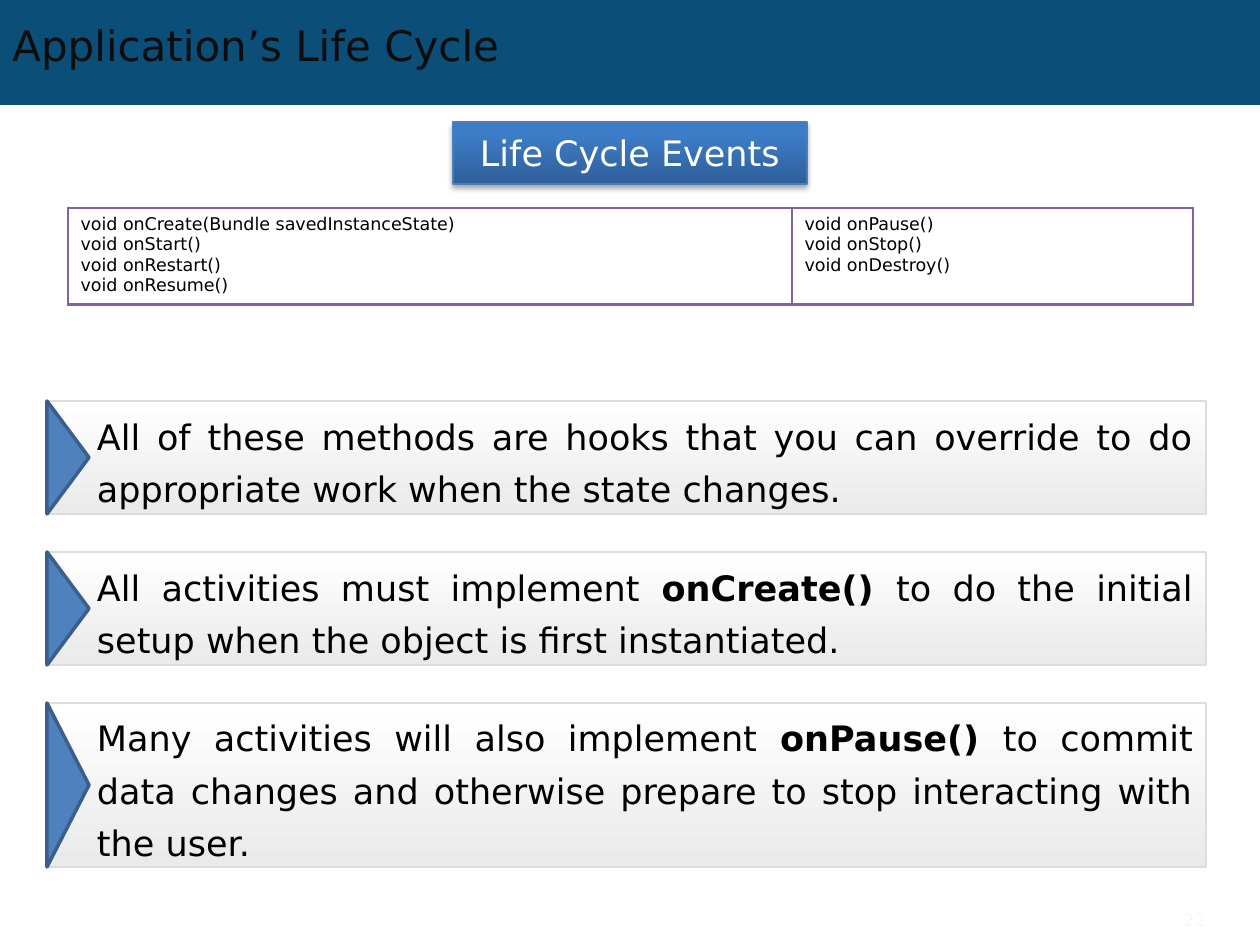
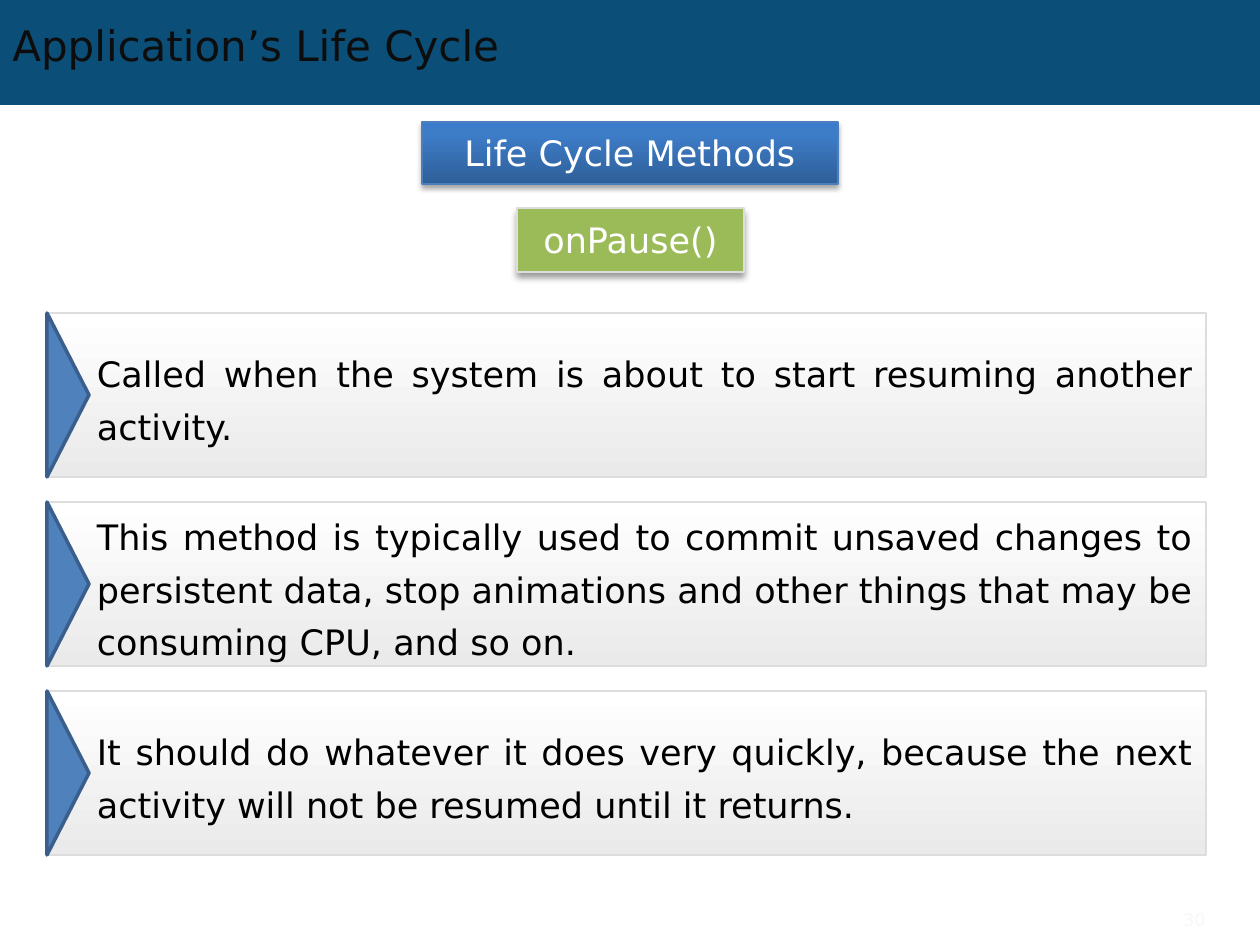
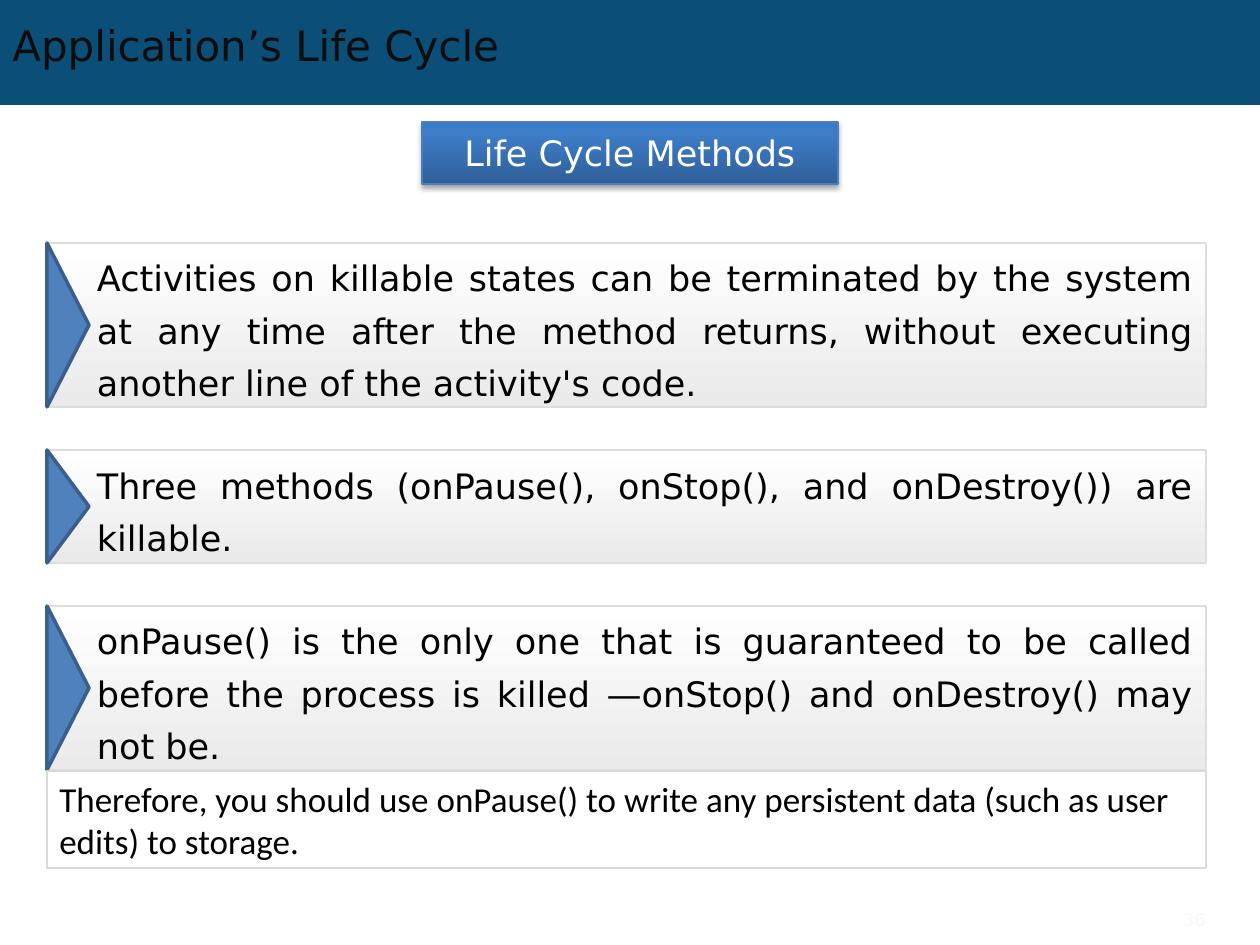
"""Build three slides on the life cycle of an application."""
from copy import deepcopy

from pptx import Presentation
from pptx.dml.color import RGBColor as RGB
from pptx.enum.shapes import MSO_SHAPE as Kind
from pptx.enum.text import MSO_ANCHOR as Anchor, PP_ALIGN as Align
from pptx.oxml import parse_xml
from pptx.oxml.ns import nsdecls, qn
from pptx.util import Emu, Pt


class Theme:
    font, note_font = "DejaVu Sans", "Calibri"
    head, body, small = 24, 20, 10
    band, ink, text, white = "0B4E78", "0D0D0D", "000000", "FFFFFF"
    blue = [(0, "3A7CCB"), (0.2, "3D7CC7"), (1, "2F5F99")]
    gray = [(0, "FFFFFF"), (1, "EAEAEA")]
    rim, edge, frame = "4B7EBC", "DDDDDD", "D9D9D9"
    green, arrow, dark = "9BBB59", "4F81BD", "3A5F8C"
    grid, faint = "8064A2", "F8F8F8"


def px(*nums):
    return [Emu(round(n * 914400 / 126)) for n in nums]


def add(slide, kind, area, fill, line=None, width=1, shade=None):
    shape = slide.shapes.add_shape(kind, *px(*area))
    shape.shadow.inherit = False
    if isinstance(fill, str):
        shape.fill.solid()
        shape.fill.fore_color.rgb = RGB.from_string(fill)
    else:
        shape.fill.gradient()
        shape.fill.gradient_angle = 270
        stops = shape._element.spPr.find(".//" + qn("a:gsLst"))
        while len(stops) < len(fill):
            stops.append(deepcopy(stops[-1]))
        for stop, (spot, color) in zip(shape.fill.gradient_stops, fill):
            stop.position = spot
            stop.color.rgb = RGB.from_string(color)
    if line:
        shape.line.color.rgb = RGB.from_string(line)
        shape.line.width = Pt(width)
    else:
        shape.line.fill.background()
    if shade:
        alpha, blur, dist = shade
        shape._element.spPr.find(qn("a:effectLst")).append(parse_xml(
            f'<a:outerShdw {nsdecls("a")} blurRad="{Pt(blur)}" dist="{Pt(dist)}" '
            f'dir="5400000" rotWithShape="0"><a:srgbClr val="000000">'
            f'<a:alpha val="{alpha * 1000}"/></a:srgbClr></a:outerShdw>'))
    return shape


def write(frame, text, color, size=Theme.body, align=Align.LEFT, font=Theme.font):
    frame.word_wrap = True
    frame.vertical_anchor = Anchor.MIDDLE
    frame.text = text.replace("**", "")
    for par, words in zip(frame.paragraphs, text.split("\n")):
        par.alignment = align
        parts = words.split("**")
        par.text = parts[0]
        for part in parts[1:]:
            par.add_run().text = part
        for i, run in enumerate(par.runs):
            run.font.name = font
            run.font.size = Pt(size)
            run.font.bold = i % 2 == 1
            run.font.color.rgb = RGB.from_string(color)


LEFT, WIDE, LOW, TALL, TIP = 47, 1159, 113, 164, 42
pages = [
    ("22", "Life Cycle Events", 354, 401, 38, [
        (LOW, "All of these methods are hooks that you can override to do "
              "appropriate work when the state changes."),
        (LOW, "All activities must implement **onCreate() **to do the initial "
              "setup when the object is first instantiated."),
        (TALL, "Many activities will also implement **onPause() **to commit data "
               "changes and otherwise prepare to stop interacting with the user.")]),
    ("30", "Life Cycle Methods", 416, 313, 25, [
        (TALL, "Called when the system is about to start resuming another activity."),
        (TALL, "This method is typically used to commit unsaved changes to persistent "
               "data, stop animations and other things that may be consuming CPU, "
               "and so on."),
        (TALL, "It should do whatever it does very quickly, because the next activity "
               "will not be resumed until it returns.")]),
    ("36", "Life Cycle Methods", 416, 243, 43, [
        (TALL, "Activities on killable states can be terminated by the system at any "
               "time after the method returns, without executing another line of the "
               "activity's code."),
        (LOW, "Three methods (onPause(), onStop(), and onDestroy()) are killable."),
        (TALL, "onPause() is the only one that is guaranteed to be called before the "
               "process is killed —onStop() and onDestroy() may not be.")]),
]

deck = Presentation()
deck.slide_width, deck.slide_height = px(1260, 945)
slides = []
for number, topic, width, top, gap, panels in pages:
    slide = deck.slides.add_slide(deck.slide_layouts[6])
    slides.append(slide)
    add(slide, Kind.RECTANGLE, (0, 0, 1260, 105), Theme.band)
    title = slide.shapes.add_textbox(*px(0, 18, 1134, 54))
    write(title.text_frame, "**Application’s Life Cycle", Theme.ink, Theme.head)
    label = add(slide, Kind.RECTANGLE, (630 - width // 2, 122, width, 62),
                Theme.blue, Theme.rim, 0.75, (35, 3.1, 1.8))
    write(label.text_frame, topic, Theme.white, align=Align.CENTER)
    for high, text in panels:
        panel = add(slide, Kind.RECTANGLE, (LEFT, top, WIDE, high),
                    Theme.gray, Theme.edge)
        frame = panel.text_frame
        frame.margin_left, frame.margin_top, frame.margin_right, frame.margin_bottom = px(
            50, 0, 13, 0)
        write(frame, text, Theme.text, align=Align.JUSTIFY)
        frame.paragraphs[0].line_spacing = Pt(30)
        tip = add(slide, Kind.ISOSCELES_TRIANGLE,
                  (LEFT + (TIP - high) / 2, top + (high - TIP) / 2, high, TIP),
                  Theme.arrow, Theme.dark, 2)
        tip.rotation = 90
        top += high + gap
    foot = slide.shapes.add_textbox(*px(1092, 901, 126, 38))
    write(foot.text_frame, "**" + number, Theme.faint, Theme.small, Align.RIGHT)

events, pause, kill = slides

lists = [
    "void onCreate(Bundle savedInstanceState)\nvoid onStart()\nvoid onRestart()\n"
    "void onResume()",
    "void onPause()\nvoid onStop()\nvoid onDestroy()",
]
table = events.shapes.add_table(1, 2, *px(68, 208, 1125, 93)).table
table.first_row = table.horz_banding = False
for column, size, cell, text in zip(table.columns, px(724, 401), table.rows[0].cells, lists):
    column.width = size
    write(cell.text_frame, text, Theme.text, Theme.small)
    cell.vertical_anchor = Anchor.TOP
    cell.fill.background()
    props = cell._tc.get_or_add_tcPr()
    for i, (side, weight) in enumerate([("L", 1), ("R", 1), ("T", 1), ("B", 2)]):
        props.insert(i, parse_xml(
            f'<a:ln{side} {nsdecls("a")} w="{Pt(weight)}"><a:solidFill>'
            f'<a:srgbClr val="{Theme.grid}"/></a:solidFill></a:ln{side}>'))

method = add(pause, Kind.RECTANGLE, (517, 208, 227, 64), Theme.green, Theme.edge, 1, (40, 4, 3))
write(method.text_frame, "onPause()", Theme.white, align=Align.CENTER)

note = add(kill, Kind.RECTANGLE, (LEFT, 771, WIDE, 97), Theme.white, Theme.frame, 1.5)
write(note.text_frame, "Therefore, you should use onPause() to write any persistent data "
      "(such as user edits) to storage.", Theme.text, font=Theme.note_font)

deck.save("out.pptx")
